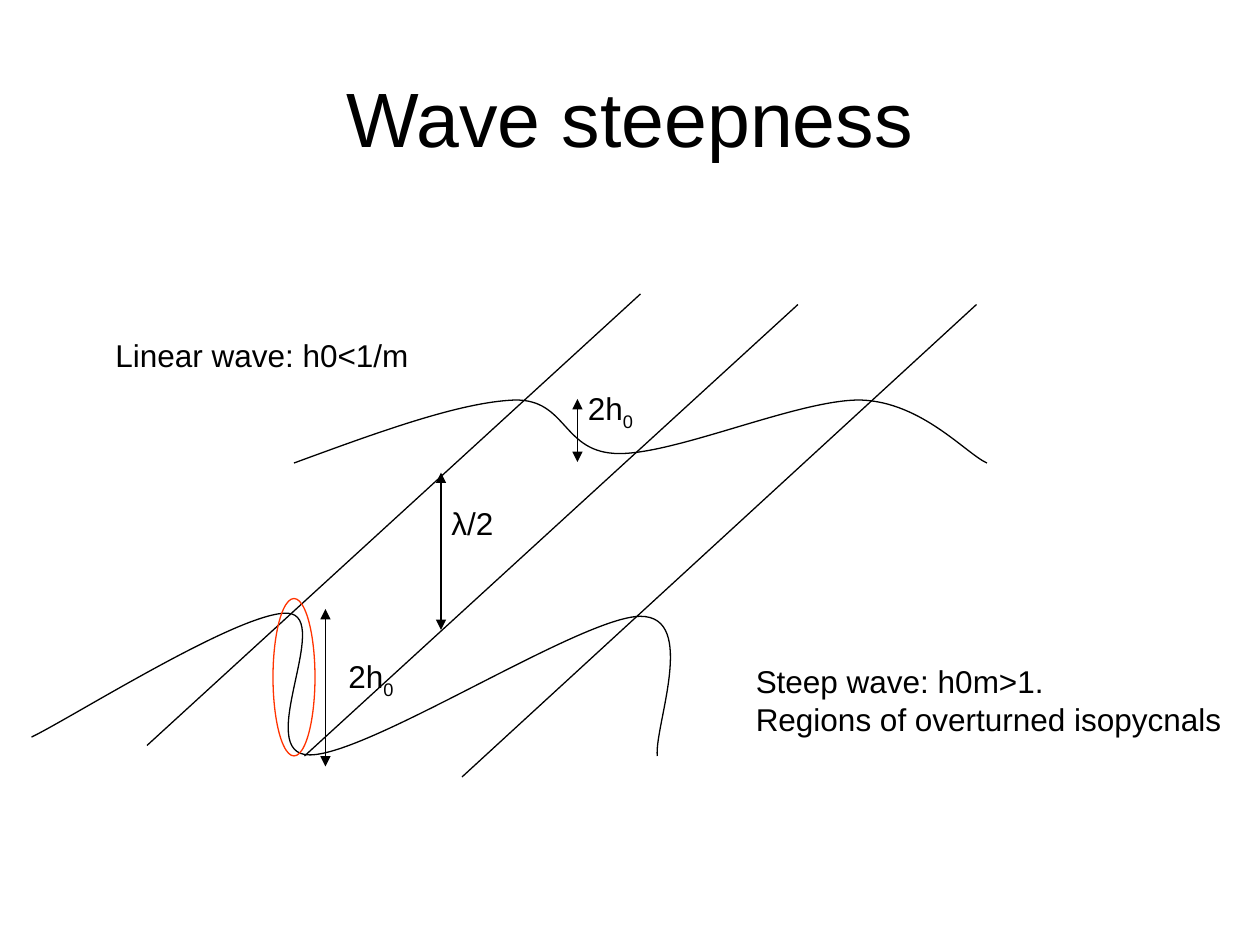
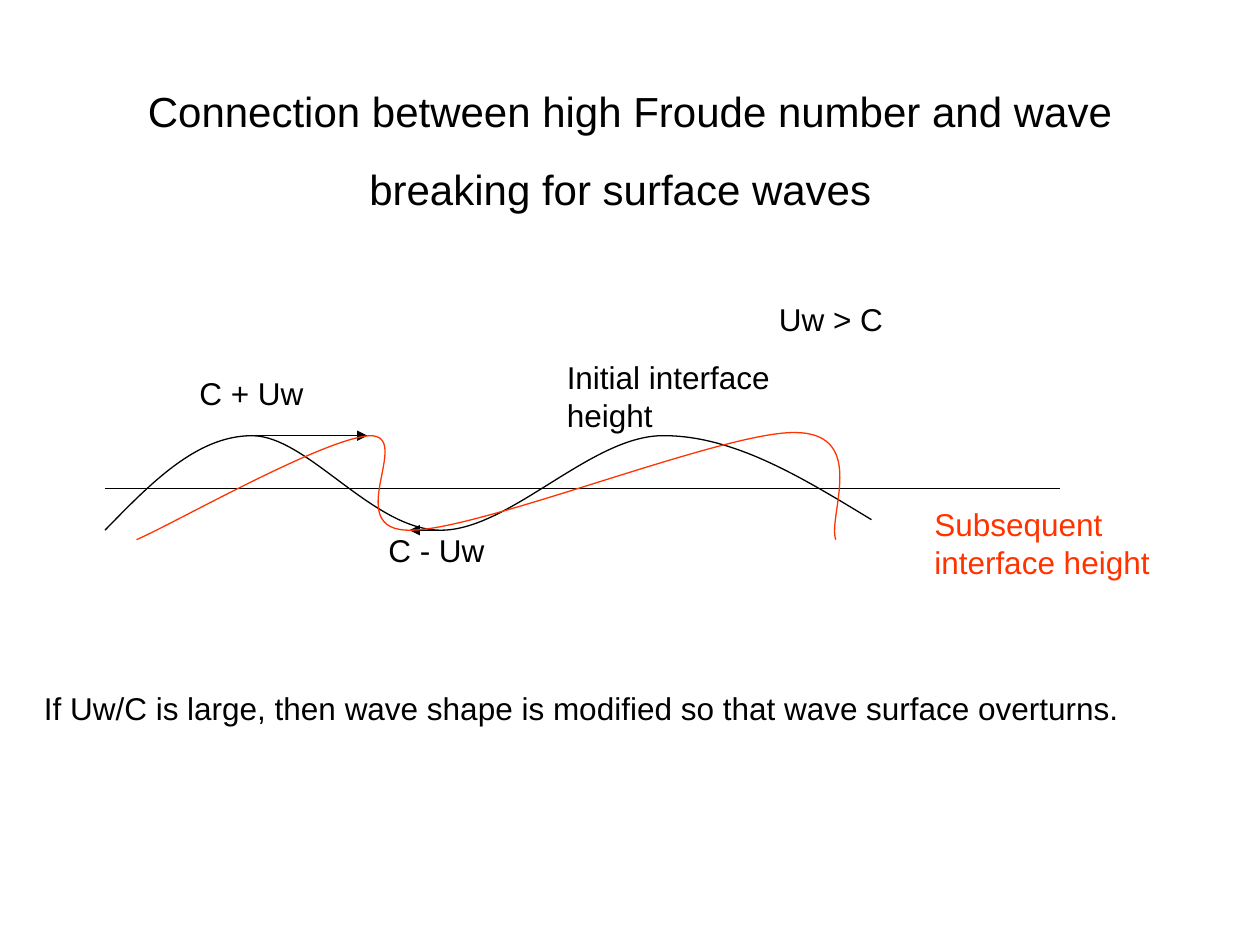
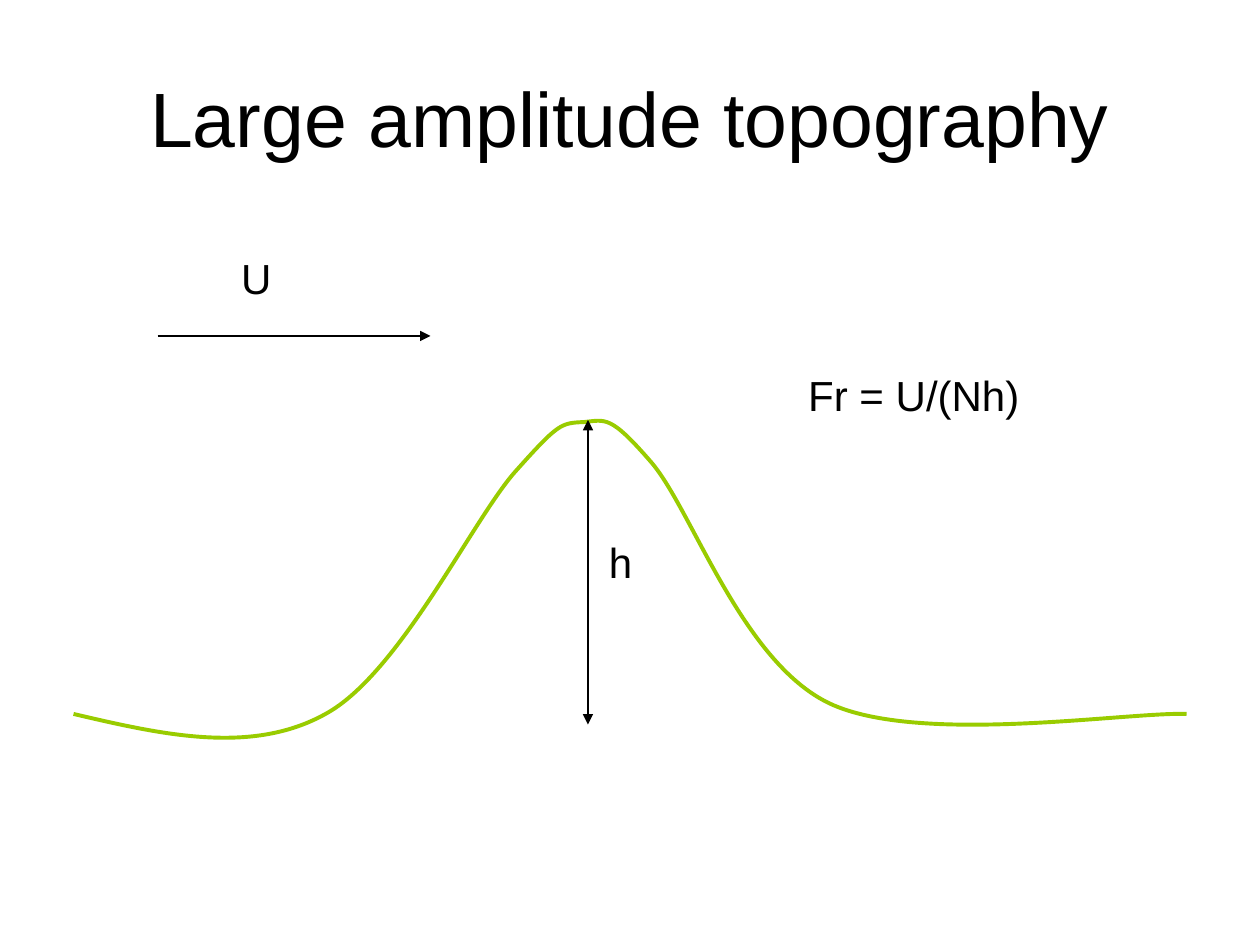
import pptx
import pptx.dml.color
import pptx.enum.shapes
import pptx.enum.text
import pptx.oxml
import pptx.oxml.ns
import pptx.util

BLACK = pptx.dml.color.RGBColor(0x00, 0x00, 0x00)
RED = pptx.dml.color.RGBColor(0xFF, 0x33, 0x00)
GREEN = pptx.dml.color.RGBColor(0x99, 0xCC, 0x00)
FONT = "Arial"
COLUMNS, ROWS = 120, 90
THIN, THICK = 0.75, 2.25
BODY, LARGE = 18, 24
HALF_HEIGHT = ("2h", "0")


class Sketch:
    def __init__(self):
        self.deck = pptx.Presentation()
        self.deck.slide_width = pptx.util.Inches(10)
        self.deck.slide_height = pptx.util.Inches(7.5)

    def x(self, columns):
        return round(self.deck.slide_width * columns / COLUMNS)

    def y(self, rows):
        return round(self.deck.slide_height * rows / ROWS)

    def box(self, left, top, width, height):
        return self.x(left), self.y(top), self.x(width), self.y(height)

    def run(self, paragraph, text, size, color=BLACK):
        run = paragraph.add_run()
        run.text = text
        run.font.name = FONT
        run.font.size = pptx.util.Pt(size)
        run.font.color.rgb = color
        return run

    def outline(self, shape, color, weight):
        shape.line.color.rgb = color
        shape.line.width = pptx.util.Pt(weight)

    def new_slide(self, *title_runs, top=3.6):
        slide = self.deck.slides.add_slide(self.deck.slide_layouts[5])
        self.canvas = slide.shapes
        title = slide.shapes.title
        title.left, title.top, title.width, title.height = self.box(6, top, 108, 15)
        frame = title.text_frame
        frame.auto_size = pptx.enum.text.MSO_AUTO_SIZE.NONE
        frame.vertical_anchor = pptx.enum.text.MSO_ANCHOR.MIDDLE
        frame.paragraphs[0].alignment = pptx.enum.text.PP_ALIGN.CENTER
        for text, size in title_runs:
            self.run(frame.paragraphs[0], text, size)

    def start_group(self):
        self.canvas = self.canvas.add_group_shape().shapes

    def end_group(self):
        self.canvas = self.deck.slides[-1].shapes

    def line(self, start, end, head=False, tail=False):
        connector = self.canvas.add_connector(
            pptx.enum.shapes.MSO_CONNECTOR.STRAIGHT,
            self.x(start[0]), self.y(start[1]), self.x(end[0]), self.y(end[1]))
        self.outline(connector, BLACK, THIN)
        properties = connector._element.spPr
        stroke = connector.line._get_or_add_ln()
        for tag, wanted in (("a:headEnd", head), ("a:tailEnd", tail)):
            if wanted:
                stroke.append(pptx.oxml.parse_xml(
                    f'<{tag} {pptx.oxml.ns.nsdecls("a")} type="triangle"/>'))
        properties.append(pptx.oxml.parse_xml(
            f'<a:effectLst {pptx.oxml.ns.nsdecls("a")}/>'))

    def curve(self, points, color=BLACK, weight=THIN):
        start, *controls = [(self.x(column), self.y(row)) for column, row in points]
        builder = self.canvas.build_freeform(*start)
        builder.add_line_segments(controls, close=False)
        wave = builder.convert_to_shape()
        wave.shadow.inherit = False
        wave.fill.background()
        self.outline(wave, color, weight)
        segments = wave._element.findall(".//" + pptx.oxml.ns.qn("a:lnTo"))
        for first in range(0, len(segments), 3):
            bezier = pptx.oxml.parse_xml(
                f'<a:cubicBezTo {pptx.oxml.ns.nsdecls("a")}/>')
            segments[first].addprevious(bezier)
            for segment in segments[first:first + 3]:
                bezier.append(segment[0])
                segment.getparent().remove(segment)

    def ellipse(self, left, top, width, height, color):
        ring = self.canvas.add_shape(pptx.enum.shapes.MSO_SHAPE.OVAL,
                                     *self.box(left, top, width, height))
        ring.shadow.inherit = False
        ring.fill.background()
        self.outline(ring, color, THIN)

    def label(self, left, top, width, *paragraphs, size=BODY, color=BLACK,
              wrapped_lines=0):
        height = (wrapped_lines or len(paragraphs)) * size * 0.2 + 1.2
        frame = self.canvas.add_textbox(*self.box(left, top, width, height)).text_frame
        frame.word_wrap = wrapped_lines > 0
        frame.auto_size = pptx.enum.text.MSO_AUTO_SIZE.SHAPE_TO_FIT_TEXT
        for index, content in enumerate(paragraphs):
            paragraph = frame.add_paragraph() if index else frame.paragraphs[0]
            base, *subscripts = (content,) if isinstance(content, str) else content
            self.run(paragraph, base, size, color)
            for subscript in subscripts:
                run = self.run(paragraph, subscript, size, color)
                run._r.get_or_add_rPr().set("baseline", "-25000")


def wave_steepness(sketch):
    sketch.new_slide(("Wave steepness", 44))
    for start, end in (((14, 71), (61, 28)), ((29, 72), (76, 29)), ((44, 74), (93, 29))):
        sketch.line(start, end)
    linear_wave = [(28, 44.1), (35.9, 41.2), (43.8, 38.3), (49, 38.1),
                   (54.1, 38), (53.5, 43.2), (59, 43.2),
                   (64.6, 43.2), (76.2, 38), (82, 38.1),
                   (87.8, 38.3), (92, 43.2), (94, 44.1)]
    steep_wave = [(3, 70.2), (7.1, 68.2), (22.9, 58.2), (27.4, 58.4),
                  (31.8, 58.7), (24, 71.9), (29.5, 71.9),
                  (35.2, 71.9), (55.4, 58.7), (61, 58.7),
                  (66.5, 58.7), (62.3, 69.2), (62.6, 72)]
    sketch.curve(linear_wave)
    sketch.curve(steep_wave)
    for column, top, bottom in ((55, 38, 44), (31, 58, 73), (42, 45, 60)):
        sketch.line((column, top), (column, bottom), head=True, tail=True)
    sketch.label(54.8, 36.5, 6.8, HALF_HEIGHT)
    sketch.label(32, 62, 6.8, HALF_HEIGHT)
    sketch.label(41.8, 47.4, 6.4, "λ/2")
    sketch.label(9.8, 31.4, 30.4, "Linear wave: h0<1/m")
    sketch.label(70.8, 62.5, 46.8, "Steep wave: h0m>1.",
                 "Regions of overturned isopycnals")
    sketch.ellipse(26, 57, 4, 15, RED)


def froude_and_breaking(sketch):
    sketch.new_slide(("Connection between high Froude number and wave "
                      "breaking for surface waves", 24), (" ", 40), top=7)
    initial_height = [(10, 50.5), (14.3, 46.1), (18.7, 41.5), (24, 41.5),
                      (29.3, 41.5), (35.5, 50.5), (42, 50.5),
                      (48.5, 50.5), (56.2, 41.6), (63, 41.5),
                      (69.8, 41.4), (76.4, 45.5), (83, 49.5)]
    subsequent_height = [(13, 51.4), (16.7, 49.8), (30.7, 41.8), (35.2, 41.5),
                         (39.5, 41.4), (32.3, 50.6), (39.1, 50.5),
                         (45.8, 50.5), (69.1, 41), (75.8, 41.2),
                         (82.7, 41.3), (78.8, 49.2), (79.6, 51.4)]
    sketch.start_group()
    sketch.line((10, 46.5), (101, 46.5))
    sketch.curve(initial_height)
    sketch.label(17.8, 35, 12.4, "C + Uw")
    sketch.label(35.8, 50, 11.6, "C - Uw")
    sketch.line((24, 41.5), (35, 41.5), tail=True)
    sketch.line((42, 50.5), (39, 50.5), tail=True)
    sketch.end_group()
    sketch.curve(subsequent_height, RED)
    sketch.label(73, 28, 12.4, "Uw > C")
    sketch.label(52.8, 33.5, 30.7, "Initial interface height")
    sketch.label(87.8, 47.5, 27.2, "Subsequent interface height",
                 color=RED, wrapped_lines=2)
    sketch.label(3, 65, 110, "If Uw/C is large, then wave shape is modified "
                 "so that wave surface overturns.", wrapped_lines=1)


def large_topography(sketch):
    sketch.new_slide(("Large amplitude topography", 44))
    hill = [(7, 68), (15.5, 70), (24, 71.9), (31, 68),
            (38, 64.2), (44.9, 49.7), (49, 45),
            (53.2, 40.3), (53.4, 40.3), (55.6, 40.2),
            (57.7, 40), (58.1, 39.5), (62, 44),
            (65.9, 48.5), (70.6, 63), (79, 67),
            (87.5, 71), (107.3, 67.8), (113, 68)]
    sketch.curve(hill, GREEN, THICK)
    sketch.line((15, 32), (41, 32), tail=True)
    sketch.label(21.8, 23.5, 5.3, "U", size=LARGE)
    sketch.line((56, 40), (56, 69), head=True, tail=True)
    sketch.label(56.8, 50.5, 4.7, "h", size=LARGE)
    sketch.label(75.8, 34.6, 22.6, "Fr = U/(Nh)", size=LARGE)


def main():
    sketch = Sketch()
    wave_steepness(sketch)
    froude_and_breaking(sketch)
    large_topography(sketch)
    sketch.deck.save("out.pptx")


if __name__ == "__main__":
    main()
